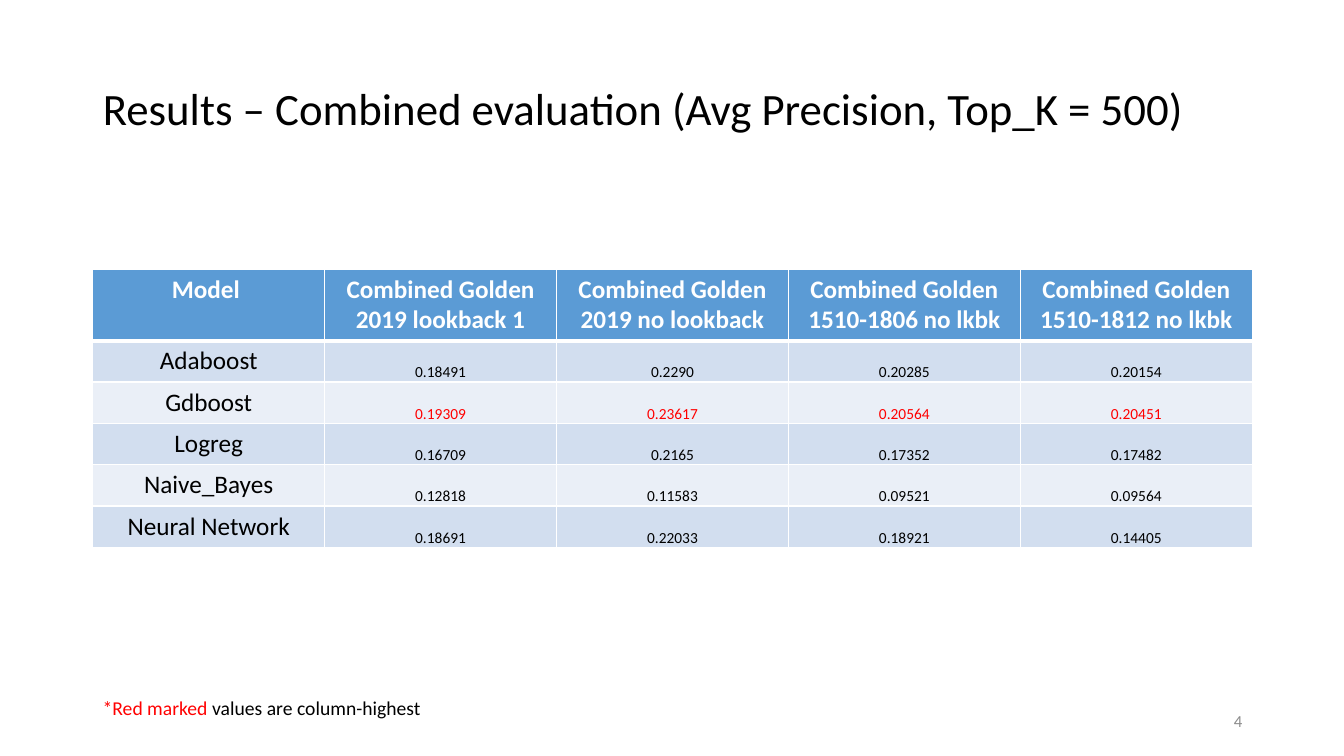
from lxml import etree
from pptx import Presentation
from pptx.dml.color import RGBColor
from pptx.enum.text import MSO_ANCHOR, MSO_AUTO_SIZE, PP_ALIGN
from pptx.oxml.ns import qn
from pptx.util import Inches, Pt

LEFT, CENTER, RIGHT = PP_ALIGN.LEFT, PP_ALIGN.CENTER, PP_ALIGN.RIGHT
TOP, MIDDLE, BOTTOM = MSO_ANCHOR.TOP, MSO_ANCHOR.MIDDLE, MSO_ANCHOR.BOTTOM
NO_AUTOFIT = MSO_AUTO_SIZE.NONE

BLACK = RGBColor(0x00, 0x00, 0x00)
WHITE = RGBColor(0xFF, 0xFF, 0xFF)
RED = RGBColor(0xFF, 0x00, 0x00)
GRAY = RGBColor(0x8C, 0x8C, 0x8C)
HEADER_BLUE = RGBColor(0x5B, 0x9B, 0xD5)
BANDS = (RGBColor(0xD2, 0xDE, 0xEF), RGBColor(0xEA, 0xEF, 0xF7))

FONT = "Calibri"
MARGIN = 0.92
CONTENT_WIDTH = 11.5
HEADER_HEIGHT = 0.68
ROW_HEIGHT = 0.41

HEADERS = (
    "Model ",
    "Combined Golden 2019 lookback 1",
    "Combined Golden 2019 no lookback",
    "Combined Golden 1510-1806 no lkbk",
    "Combined Golden 1510-1812 no lkbk",
)
RESULTS = (
    ("Adaboost", "0.18491", "0.2290", "0.20285", "0.20154"),
    ("Gdboost", "0.19309", "0.23617", "0.20564", "0.20451"),
    ("Logreg", "0.16709", "0.2165", "0.17352", "0.17482"),
    ("Naive_Bayes", "0.12818", "0.11583", "0.09521", "0.09564"),
    ("Neural Network", "0.18691", "0.22033", "0.18921", "0.14405"),
)


def format_run(run, size, color, bold=False):
    run.font.name = FONT
    run.font.size = Pt(size)
    run.font.color.rgb = color
    run.font.bold = bold


def add_title(slide, text):
    title = slide.shapes.title
    title.left, title.top = Inches(MARGIN), Inches(0.38)
    title.width, title.height = Inches(CONTENT_WIDTH), Inches(1.45)
    frame = title.text_frame
    frame.text = text
    frame.auto_size = NO_AUTOFIT
    frame.vertical_anchor = MIDDLE
    paragraph = frame.paragraphs[0]
    paragraph.alignment = LEFT
    paragraph.line_spacing = 0.9
    format_run(paragraph.runs[0], 32, BLACK)


def add_text(slide, left, top, width, height, parts, size,
             alignment=LEFT, anchor=TOP):
    box = slide.shapes.add_textbox(
        Inches(left), Inches(top), Inches(width), Inches(height))
    frame = box.text_frame
    frame.word_wrap = True
    frame.vertical_anchor = anchor
    paragraph = frame.paragraphs[0]
    paragraph.alignment = alignment
    for text, color in parts:
        run = paragraph.add_run()
        run.text = text
        format_run(run, size, color)


def set_borders(cell, top=1, bottom=1):
    properties = cell._tc.get_or_add_tcPr()
    for side, width in (("L", 1), ("R", 1), ("T", top), ("B", bottom)):
        line = etree.SubElement(properties, qn(f"a:ln{side}"), w=str(Pt(width)))
        fill = etree.SubElement(line, qn("a:solidFill"))
        etree.SubElement(fill, qn("a:srgbClr"), val=str(WHITE))


def format_cell(cell, text, fill, size, color, bold=False):
    cell.fill.solid()
    cell.fill.fore_color.rgb = fill
    cell.text_frame.text = text
    paragraph = cell.text_frame.paragraphs[0]
    paragraph.alignment = CENTER
    format_run(paragraph.runs[0], size, color, bold)


def format_value_cell(cell):
    cell.vertical_anchor = BOTTOM
    cell.margin_left = cell.margin_right = cell.margin_top = Inches(0.01)
    cell.margin_bottom = 0


def add_results_table(slide):
    height = HEADER_HEIGHT + ROW_HEIGHT * len(RESULTS)
    table = slide.shapes.add_table(
        len(RESULTS) + 1, len(HEADERS), Inches(MARGIN), Inches(2.67),
        Inches(CONTENT_WIDTH), Inches(height)).table
    for index, row in enumerate(table.rows):
        row.height = Inches(ROW_HEIGHT if index else HEADER_HEIGHT)

    # Header row
    for column, text in enumerate(HEADERS):
        cell = table.cell(0, column)
        set_borders(cell, bottom=3)
        format_cell(cell, text, HEADER_BLUE, 18, WHITE, bold=True)

    # Model rows, with the highest value of each column in red
    highest = [max(values) for values in zip(*RESULTS)]
    for row, result in enumerate(RESULTS, start=1):
        for column, text in enumerate(result):
            cell = table.cell(row, column)
            is_value = column > 0
            color = RED if is_value and text == highest[column] else BLACK
            set_borders(cell, top=3 if row == 1 else 1)
            format_cell(cell, text, BANDS[(row - 1) % 2],
                        11 if is_value else 18, color)
            if is_value:
                format_value_cell(cell)


def main():
    presentation = Presentation()
    presentation.slide_width = Inches(13.33)
    presentation.slide_height = Inches(7.5)
    slide = presentation.slides.add_slide(presentation.slide_layouts[5])

    add_title(slide, "Results – Combined evaluation (Avg Precision, Top_K = 500)")
    add_results_table(slide)

    # Footnote and slide number
    add_text(slide, MARGIN, 6.85, 5.03, 0.34,
             [("*Red marked", RED), (" values are column-highest", BLACK)], 14)
    add_text(slide, 9.42, 6.95, 3, 0.4, [("4", GRAY)], 12, RIGHT, MIDDLE)

    presentation.save("out.pptx")


main()
